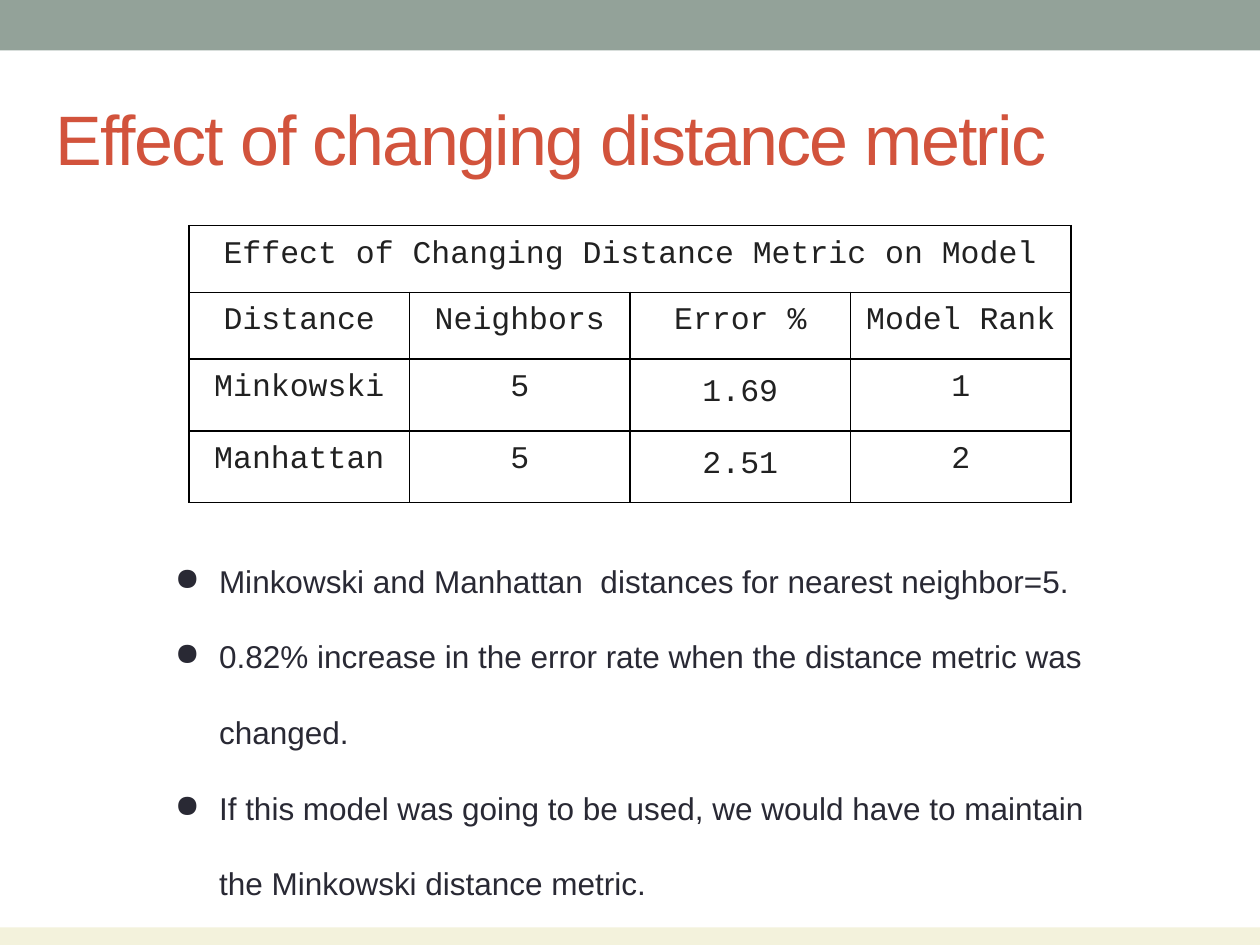
from typing import NamedTuple

from lxml import etree
from pptx import Presentation
from pptx import util as u
from pptx.dml.color import RGBColor
from pptx.enum import shapes, text
from pptx.oxml.ns import qn

SAGE = RGBColor(0x93, 0xA2, 0x99)
CREAM = RGBColor(0xF3, 0xF2, 0xDC)
RUST = RGBColor(0xD2, 0x53, 0x3C)
INK = RGBColor(0x21, 0x21, 0x21)
SLATE = RGBColor(0x29, 0x29, 0x34)
WHITE = RGBColor(0xFF, 0xFF, 0xFF)
BLACK = RGBColor(0, 0, 0)

WIDTH, HEIGHT = 10, 7.5
TABLE_LEFT, TABLE_TOP, COLUMN_WIDTH = 1.5, 1.79, 1.75
ROW_HEIGHTS = (0.53, 0.53, 0.57, 0.57)
ERROR_COLUMN = 2


class Band(NamedTuple):
    """A full-width strip of the slide."""
    top: float
    height: float
    color: RGBColor


BANDS = (Band(0, 0.4, SAGE), Band(HEIGHT - 0.14, 0.14, CREAM))
ROWS = (
    ("Effect of Changing Distance Metric on Model",),
    ("Distance", "Neighbors", "Error %", "Model Rank"),
    ("Minkowski", "5", "1.69", "1"),
    ("Manhattan", "5", "2.51", "2"),
)
FINDINGS = (
    "Minkowski and Manhattan  distances for nearest neighbor=5.",
    "0.82% increase in the error rate when the distance metric was changed.",
    "If this model was going to be used, we would have to maintain "
    "the Minkowski distance metric.",
)


def set_font(para, name: str, size: float, color: RGBColor) -> None:
    """Set the font of a whole paragraph."""
    para.font.name = name
    para.font.size = u.Pt(size)
    para.font.color.rgb = color


def add_band(page, band: Band) -> None:
    """Draw one strip across the slide."""
    strip = page.shapes.add_shape(
        shapes.MSO_SHAPE.RECTANGLE, 0, u.Inches(band.top),
        u.Inches(WIDTH), u.Inches(band.height))
    strip.shadow.inherit = False
    strip.fill.solid()
    strip.fill.fore_color.rgb = band.color
    strip.line.fill.background()


def add_text_frame(page, left: float, top: float, width: float, height: float):
    """Add a wrapping text box with equal insets and return its frame."""
    box = page.shapes.add_textbox(*map(u.Inches, (left, top, width, height)))
    frame = box.text_frame
    frame.word_wrap = True
    frame.margin_left = frame.margin_right = u.Inches(0.1)
    frame.margin_top = frame.margin_bottom = u.Inches(0.1)
    return frame


def add_title(page, title: str) -> None:
    """Write the slide title with tightened letters."""
    frame = add_text_frame(page, 0.34, 0.65, 9.32, 0.89)
    frame.vertical_anchor = text.MSO_ANCHOR.MIDDLE
    para = frame.paragraphs[0]
    span = para.add_run()
    span.text = title
    set_font(para, "Arial", 40, RUST)
    span.font._element.set("spc", "-100")


def set_borders(cell, color: RGBColor, points: float) -> None:
    """Rule all four sides of a cell."""
    properties = cell._tc.get_or_add_tcPr()
    for position, side in enumerate(("a:lnL", "a:lnR", "a:lnT", "a:lnB")):
        line = etree.Element(qn(side), w=str(u.Pt(points)))
        fill = etree.SubElement(line, qn("a:solidFill"))
        etree.SubElement(fill, qn("a:srgbClr"), val=str(color))
        properties.insert(position, line)


def add_results(page) -> None:
    """Build the ruled table of results under its merged heading."""
    columns = len(ROWS[1])
    table = page.shapes.add_table(
        len(ROWS), columns, u.Inches(TABLE_LEFT), u.Inches(TABLE_TOP),
        u.Inches(COLUMN_WIDTH * columns), u.Inches(sum(ROW_HEIGHTS))).table
    table.first_row = table.horz_banding = False
    for row, height in zip(table.rows, ROW_HEIGHTS):
        row.height = u.Inches(height)
    for cell in table.iter_cells():
        cell.fill.solid()
        cell.fill.fore_color.rgb = WHITE
        set_borders(cell, BLACK, 1)
    table.cell(0, 0).merge(table.cell(0, columns - 1))
    for r, words in enumerate(ROWS):
        for c, word in enumerate(words):
            cell = table.cell(r, c)
            cell.margin_left = cell.margin_right = u.Inches(0.07)
            cell.margin_top = cell.margin_bottom = u.Inches(0.09)
            para = cell.text_frame.paragraphs[0]
            para.text = word
            para.alignment = text.PP_ALIGN.CENTER
            set_font(para, "Courier New", 18, INK)
            if r > 1 and c == ERROR_COLUMN:
                para.line_spacing = 1.15


def add_findings(page) -> None:
    """Write the bulleted findings, double spaced."""
    frame = add_text_frame(page, 1.14, 4.06, 7.71, 1.23)
    for index, finding in enumerate(FINDINGS):
        para = frame.add_paragraph() if index else frame.paragraphs[0]
        para.text = finding
        para.line_spacing = 2.0
        set_font(para, "Arial", 18, SLATE)
        properties = para._p.get_or_add_pPr()
        properties.set("marL", str(u.Inches(0.5)))
        properties.set("indent", str(u.Inches(-0.35)))
        bullet = etree.Element(qn("a:buChar"), char="●")
        properties.find(qn("a:lnSpc")).addnext(bullet)


def main() -> None:
    """Build and save the slide."""
    deck = Presentation()
    deck.slide_width, deck.slide_height = u.Inches(WIDTH), u.Inches(HEIGHT)
    page = deck.slides.add_slide(deck.slide_layouts[6])
    for band in BANDS:
        add_band(page, band)
    add_title(page, "Effect of changing distance metric")
    add_results(page)
    add_findings(page)
    deck.save("out.pptx")


main()
